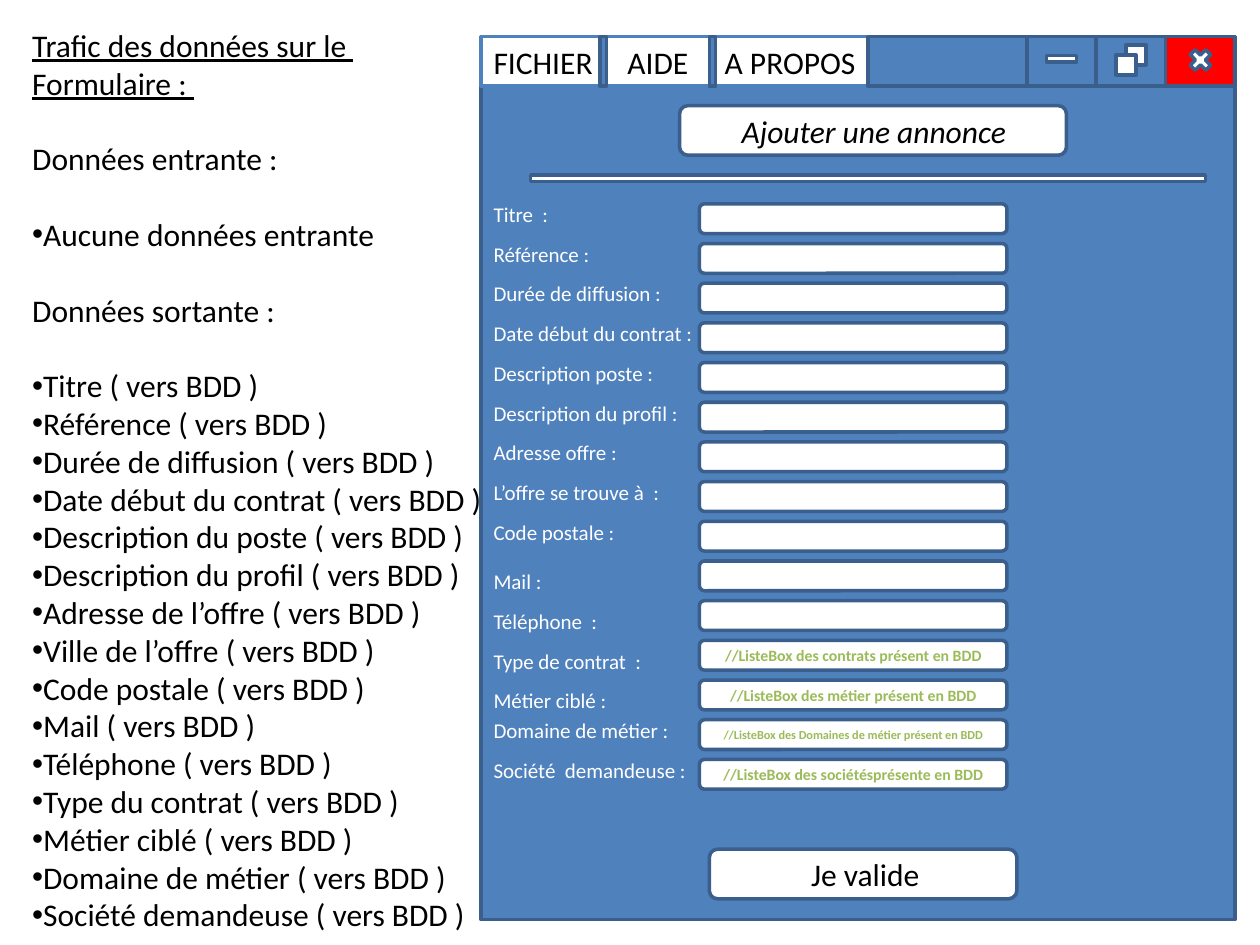
from lxml.etree import SubElement
from pptx import Presentation
from pptx.dml.color import RGBColor
from pptx.enum.shapes import MSO_SHAPE as Shape
from pptx.enum.text import MSO_ANCHOR as Anchor, MSO_AUTO_SIZE as AutoSize, PP_ALIGN as Align
from pptx.oxml.ns import qn
from pptx.util import Cm, Pt

COLORS = {"blue": "4F81BD", "edge": "3A5F8C", "white": "FFFFFF",
          "red": "FF0000", "black": "000000", "green": "9BBB59"}
FONT = "Calibri"

# Left-hand notes: (heading lines, bullets)
NOTES_TITLE = ["Trafic des données sur le ", "Formulaire : "]
NOTES = [
    ("Données entrante :", ["Aucune données entrante"]),
    ("Données sortante :", [item + " ( vers BDD )" for item in (
        "Titre", "Référence", "Durée de diffusion", "Date début du contrat",
        "Description du poste", "Description du profil", "Adresse de l’offre",
        "Ville de l’offre", "Code postale", "Mail", "Téléphone",
        "Type du contrat", "Métier ciblé", "Domaine de métier",
        "Société demandeuse")]),
]

# Form rows: label, label width, label drop, field text, field text size
ROWS = [
    ("Titre  :", 1.63, 0, "", 9),
    ("Référence :", 2.46, 0, "", 9),
    ("Durée de diffusion :", 3.94, 0, "", 9),
    ("Date début du contrat :", 4.55, 0, "", 9),
    ("Description poste :", 3.78, 0, "", 9),
    ("Description du profil :", 4.27, 0, "", 9),
    ("Adresse offre :", 3.05, 0, "", 9),
    ("L’offre se trouve à  :", 3.91, 0, "", 9),
    ("Code postale :", 3.07, 0, "", 9),
    ("Mail :", 1.6, 0.2, "", 9),
    ("Téléphone  :", 2.72, 0.2, "", 9),
    ("Type de contrat  :", 3.63, 0.2, "//ListeBox des contrats présent en BDD", 9),
    ("Métier ciblé :", 2.82, 0.2, "//ListeBox des métier présent en BDD", 9),
    ("Domaine de métier :", 4.09, 0, "//ListeBox des Domaines de métier présent en BDD", 7),
    ("Société  demandeuse :", 4.45, 0, "//ListeBox des sociétésprésente en BDD", 9),
]

# Window geometry in centimetres
LEFT, TOP, WIDTH, HEIGHT = 9.7, 0.74, 15.2, 17.8
BAR, BUTTON, THIN = 1.0, 1.4, 0.13
FIELD_LEFT, FIELD_TOP, LABEL_TOP, PITCH = 14.1, 4.11, 3.94, 0.8
MENU_TABS = [2.7, 4.66]
RIGHT = LEFT + WIDTH

# Window parts: preset, left, top, width, height, fill, line
PARTS = [
    (Shape.RECTANGLE, LEFT, TOP, WIDTH, HEIGHT, "blue", "edge"),
    (Shape.RECTANGLE, LEFT, TOP, WIDTH, BAR, "white", "blue"),
    *[(Shape.RECTANGLE, RIGHT - n * BUTTON, TOP, BUTTON, BAR, fill, "edge")
      for n, fill in enumerate(("red", "blue", "blue"), 1)],
    (Shape.RECTANGLE, 21.1, 1.12, 0.6, THIN, "white", "edge"),
    (Shape.MATH_MULTIPLY, 23.9, 0.91, 0.6, 0.6, "white", "edge"),
    (Shape.RECTANGLE, 22.7, 0.91, 0.4, 0.4, "white", "edge"),
    (Shape.RECTANGLE, 22.5, 1.11, 0.4, 0.4, "white", "edge"),
    (Shape.RECTANGLE, 17.5, TOP, 3.2, BAR, "blue", "edge"),
    (Shape.RECTANGLE, 12.1, TOP, THIN, BAR, "blue", "edge"),
    (Shape.RECTANGLE, 14.3, TOP, THIN, BAR, "blue", "edge"),
    (Shape.ROUNDED_RECTANGLE, 13.7, 2.13, 7.8, 1, "white", "edge"),
    (Shape.RECTANGLE, 10.7, 3.53, 13.6, THIN, "white", "edge"),
    (Shape.ROUNDED_RECTANGLE, 14.3, 17.12, 6.2, 1, "white", "edge"),
]


def rgb(name):
    return RGBColor.from_string(COLORS[name])


def write(para, text, size=18, color="black", bold=None, italic=None, underline=None,
          align=None, before=None, bullet=False, tabs=()):
    props = para._p.get_or_add_pPr()
    if bullet:
        props.set("marL", "0")
        props.set("indent", "0")
        SubElement(props, qn("a:buFont"), typeface="Arial")
        SubElement(props, qn("a:buChar"), char="•")
    if tabs:
        tab_list = SubElement(props, qn("a:tabLst"))
        for stop in tabs:
            SubElement(tab_list, qn("a:tab"), pos=str(Cm(stop)), algn="l")
    if align is not None:
        para.alignment = align
    if before:
        para.space_before = Pt(before)
    span = para.add_run()
    span.text = text
    font = span.font
    font.name, font.size, font.color.rgb = FONT, Pt(size), rgb(color)
    font.bold, font.italic, font.underline = bold, italic, underline


def add_part(page, preset, left, top, width, height, fill, line):
    part = page.shapes.add_shape(preset, Cm(left), Cm(top), Cm(width), Cm(height))
    part.shadow.inherit = False
    part.fill.solid()
    part.fill.fore_color.rgb = rgb(fill)
    part.line.color.rgb = rgb(line)
    part.line.width = Pt(2)
    return part


def add_text(page, left, top, width, height, wrap=False):
    box = page.shapes.add_textbox(Cm(left), Cm(top), Cm(width), Cm(height))
    frame = box.text_frame
    frame.word_wrap = wrap
    frame.auto_size = AutoSize.SHAPE_TO_FIT_TEXT
    return frame


def main():
    deck = Presentation()
    deck.slide_width, deck.slide_height = Cm(25.4), Cm(19.05)
    page = deck.slides.add_slide(deck.slide_layouts[6])

    # Window frame, menu and captions
    for part in PARTS:
        add_part(page, *part)
    menu = add_text(page, LEFT, TOP, 11, 1.8, wrap=True)
    write(menu.paragraphs[0], "FICHIER\tAIDE\tA PROPOS", tabs=MENU_TABS)
    title = add_text(page, 14.7, 2.13, 6.6, 1.02, wrap=True)
    write(title.paragraphs[0], "Ajouter une annonce", italic=True)
    submit = add_text(page, 16.1, 17.12, 2.87, 1.02)
    write(submit.paragraphs[0], "Je valide")

    # Form labels and fields
    for index, (label, width, drop, hint, size) in enumerate(ROWS):
        offset = index * PITCH
        caption = add_text(page, LEFT, LABEL_TOP + offset + drop, width, 0.76)
        write(caption.paragraphs[0], label, size=12, color="white")
        field = add_part(page, Shape.ROUNDED_RECTANGLE, FIELD_LEFT, FIELD_TOP + offset,
                         6.2, 0.6, "white", "edge")
        if hint:
            field.text_frame.vertical_anchor = Anchor.MIDDLE
            write(field.text_frame.paragraphs[0], hint, size=size, color="green",
                  bold=True, align=Align.CENTER)

    # Data notes, with one line of space around each heading
    notes = add_text(page, 0.4, 0.4, 9.68, 18.7)
    write(notes.paragraphs[0], NOTES_TITLE[0], underline=True)
    write(notes.add_paragraph(), NOTES_TITLE[1], underline=True)
    for heading, items in NOTES:
        write(notes.add_paragraph(), heading, before=21.6)
        for index, item in enumerate(items):
            write(notes.add_paragraph(), item, bullet=True, before=0 if index else 21.6)

    deck.save("out.pptx")


if __name__ == "__main__":
    main()
